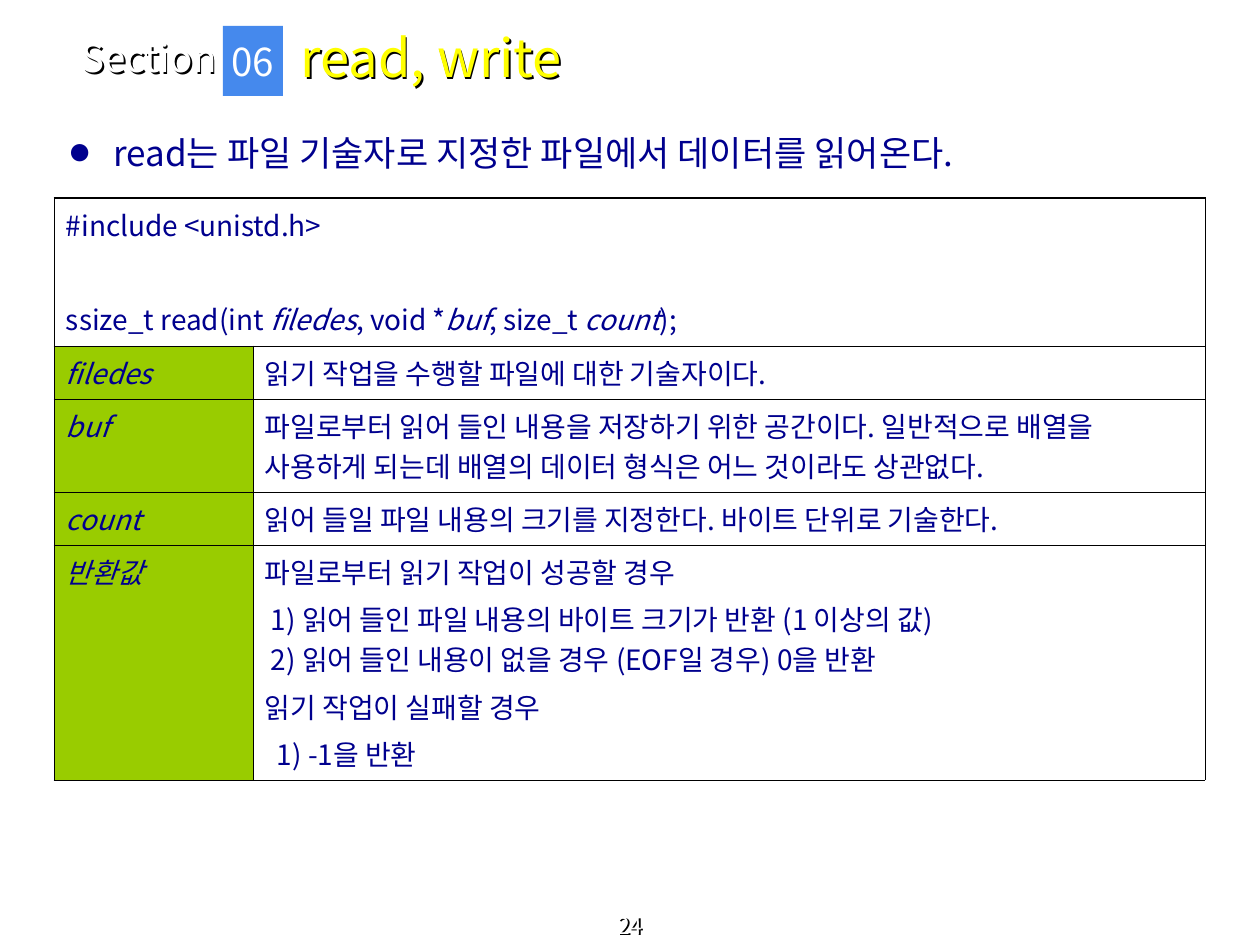
from dataclasses import dataclass

from lxml import etree
from pptx import Presentation
from pptx.dml import color
from pptx.enum import shapes, text
from pptx.oxml import ns
from pptx.util import Emu, Pt

FONT = "Noto Sans CJK KR"
NAVY = "00008E"
WHITE = "FFFFFF"
BLACK = "000000"
GREEN = "99CC00"


@dataclass
class Run:
    words: str
    italic: bool = False


@dataclass
class Para:
    runs: list[Run]
    before: float = 4
    indent: int = 0


@dataclass
class Label:
    words: str
    box: tuple[int, int, int, int]
    size: int
    ink: str
    align: text.PP_ALIGN
    anchor: text.MSO_ANCHOR


SYNTAX = [
    Para([Run("#include <unistd.h>")]),
    Para([Run("ssize_t read(int "), Run("filedes", True), Run(", void *"),
          Run("buf", True), Run(", size_t "), Run("count", True), Run(");")],
         before=31),
]
ARGUMENTS = [
    ("filedes", [Para([Run("읽기 작업을 수행할 파일에 대한 기술자이다.")])]),
    ("buf", [Para([Run("파일로부터 읽어 들인 내용을 저장하기 위한 공간이다. 일반적으로 배열을 "
                       "사용하게 되는데 배열의 데이터 형식은 어느 것이라도 상관없다.")])]),
    ("count", [Para([Run("읽어 들일 파일 내용의 크기를 지정한다. 바이트 단위로 기술한다.")])]),
    ("반환값", [
        Para([Run("파일로부터 읽기 작업이 성공할 경우")]),
        Para([Run("1) 읽어 들인 파일 내용의 바이트 크기가 반환 (1 이상의 값)")], indent=6),
        Para([Run("2) 읽어 들인 내용이 없을 경우 (EOF일 경우) 0을 반환")], before=0, indent=6),
        Para([Run("읽기 작업이 실패할 경우")]),
        Para([Run("1) -1을 반환")], indent=12),
    ]),
]
COLUMNS = [199, 952]
ROWS = [148, 53, 93, 53, 235]


def px(length: int) -> Emu:
    return Emu(round(length * 914400 / 126))


def rgb(code: str) -> color.RGBColor:
    return color.RGBColor.from_string(code)


def add_run(paragraph, run: Run, size: int, ink: str) -> None:
    piece = paragraph.add_run()
    piece.text = run.words
    font = piece.font
    font.size, font.name, font.italic = Pt(size), FONT, run.italic
    font.color.rgb = rgb(ink)
    east = etree.Element(ns.qn("a:ea"), typeface=FONT)
    piece._r.get_or_add_rPr().find(ns.qn("a:latin")).addnext(east)


def cast_shadow(shape) -> None:
    shape.fill.background()
    shape.shadow.inherit = False
    effects = shape._element.spPr.find(ns.qn("a:effectLst"))
    cast = etree.SubElement(effects, ns.qn("a:outerShdw"), dist="17961", dir="2700000")
    etree.SubElement(cast, ns.qn("a:srgbClr"), val=BLACK)


def write_label(shape, label: Label) -> None:
    shape.left, shape.top, shape.width, shape.height = map(px, label.box)
    frame = shape.text_frame
    frame.auto_size = text.MSO_AUTO_SIZE.NONE
    frame.word_wrap = True
    frame.vertical_anchor = label.anchor
    paragraph = frame.paragraphs[0]
    paragraph.alignment = label.align
    paragraph.line_spacing = 1.0
    paragraph.space_before = Pt(0)
    add_run(paragraph, Run(label.words), label.size, label.ink)


def add_bullet(paragraph, margin: int, hanging: int) -> None:
    properties = paragraph._p.get_or_add_pPr()
    properties.set("marL", str(px(margin)))
    properties.set("indent", str(-px(hanging)))
    tint = etree.SubElement(properties, ns.qn("a:buClr"))
    etree.SubElement(tint, ns.qn("a:srgbClr"), val=NAVY)
    etree.SubElement(properties, ns.qn("a:buSzPct"), val="55000")
    etree.SubElement(properties, ns.qn("a:buFont"), typeface=FONT)
    etree.SubElement(properties, ns.qn("a:buChar"), char="●")


def fill_cell(cell, paras: list[Para], fill: str | None = None) -> None:
    cell.margin_left = cell.margin_right = px(12)
    cell.margin_top = cell.margin_bottom = px(6)
    frame = cell.text_frame
    for index, para in enumerate(paras):
        paragraph = frame.add_paragraph() if index else frame.paragraphs[0]
        paragraph.space_before = Pt(para.before)
        if para.indent:
            paragraph._p.get_or_add_pPr().set("marL", str(px(para.indent)))
        for run in para.runs:
            add_run(paragraph, run, 16, NAVY)
    if fill:
        cell.fill.solid()
        cell.fill.fore_color.rgb = rgb(fill)
    else:
        cell.fill.background()


def add_borders(cell, widths: dict[str, float]) -> None:
    properties = cell._tc.get_or_add_tcPr()
    for index, (side, width) in enumerate(widths.items()):
        line = etree.Element(ns.qn(f"a:ln{side}"), w=str(Pt(width)))
        solid = etree.SubElement(line, ns.qn("a:solidFill"))
        etree.SubElement(solid, ns.qn("a:srgbClr"), val=BLACK)
        properties.insert(index, line)


def add_reference(slide) -> None:
    frame = slide.shapes.add_table(len(ROWS), len(COLUMNS), px(54), px(198),
                                   px(sum(COLUMNS)), px(sum(ROWS)))
    table = frame.table
    table.first_row = table.horz_banding = False
    for column, width in zip(table.columns, COLUMNS):
        column.width = px(width)
    for row, height in zip(table.rows, ROWS):
        row.height = px(height)
    table.cell(0, 0).merge(table.cell(0, 1))
    fill_cell(table.cell(0, 0), SYNTAX)
    for row, (name, meaning) in enumerate(ARGUMENTS, 1):
        fill_cell(table.cell(row, 0), [Para([Run(name, True)])], GREEN)
        fill_cell(table.cell(row, 1), meaning)
    for row in range(len(ROWS)):
        for column in range(len(COLUMNS)):
            add_borders(table.cell(row, column), {
                "L": 0.45, "R": 0.45, "T": 0.45 if row else 1.08, "B": 0.45})


def main() -> None:
    deck = Presentation()
    deck.slide_width, deck.slide_height = px(1260), px(945)
    slide = deck.slides.add_slide(deck.slide_layouts[5])
    left, center = text.PP_ALIGN.LEFT, text.PP_ALIGN.CENTER
    top, middle, bottom = text.MSO_ANCHOR.TOP, text.MSO_ANCHOR.MIDDLE, text.MSO_ANCHOR.BOTTOM

    title = slide.shapes.title
    write_label(title, Label("read, write", (288, 14, 818, 86), 30, "FFFF00", left, middle))
    cast_shadow(title)
    for label in (Label("Section", (69, 34, 243, 47), 22, WHITE, left, middle),
                  Label("24", (0, 917, 1260, 28), 13, WHITE, center, bottom)):
        caption = slide.shapes.add_textbox(0, 0, 0, 0)
        write_label(caption, label)
        cast_shadow(caption)

    number = slide.shapes.add_shape(shapes.MSO_SHAPE.RECTANGLE, 0, 0, 0, 0)
    number.shadow.inherit = False
    number.fill.solid()
    number.fill.fore_color.rgb = rgb("4589ED")
    number.line.fill.background()
    write_label(number, Label("06", (223, 26, 60, 70), 22, WHITE, center, middle))
    number.text_frame.word_wrap = False

    summary = slide.shapes.add_textbox(0, 0, 0, 0)
    write_label(summary, Label("read는 파일 기술자로 지정한 파일에서 데이터를 읽어온다.",
                               (42, 125, 1176, 59), 20, NAVY, left, top))
    add_bullet(summary.text_frame.paragraphs[0], 59, 43)

    add_reference(slide)
    deck.save("out.pptx")


if __name__ == "__main__":
    main()
